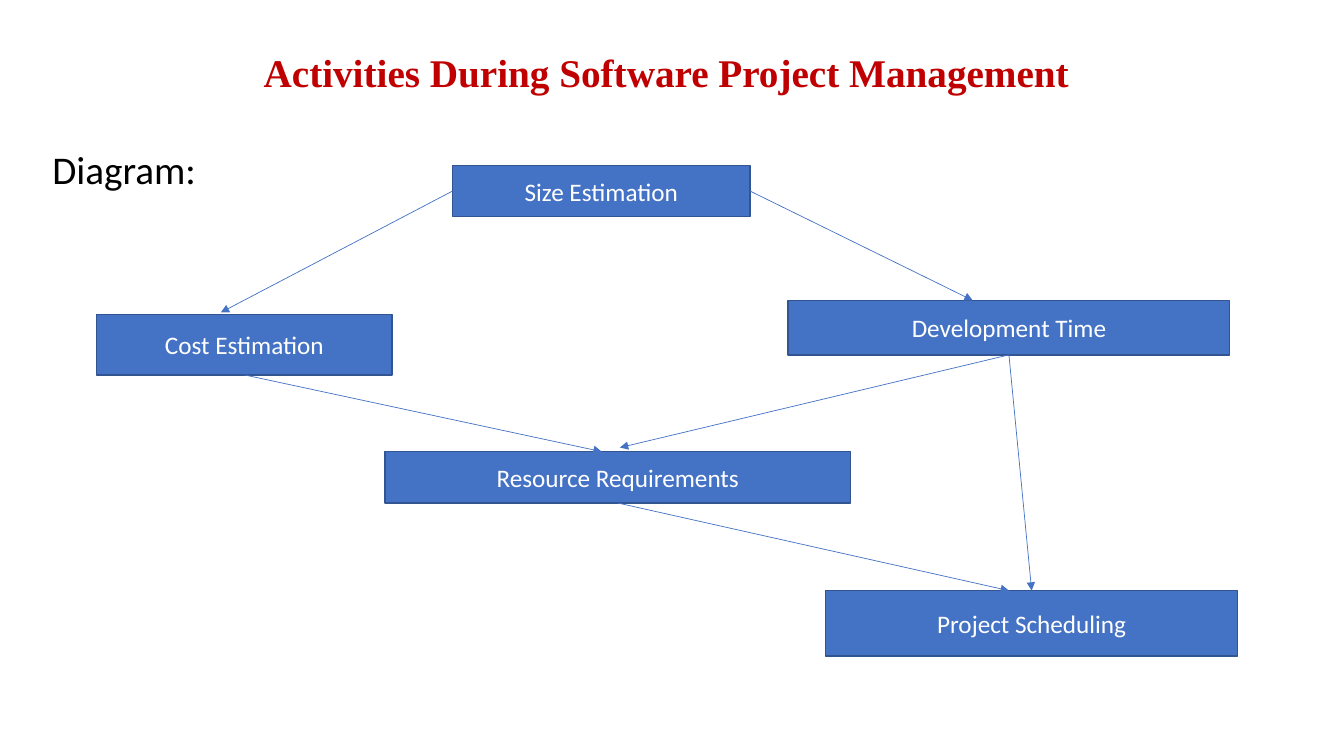
from dataclasses import dataclass
from typing import Any, Optional

from lxml import etree
from pptx import Presentation
from pptx import util as u
from pptx.dml.color import RGBColor
from pptx.enum import shapes, text
from pptx.oxml.ns import qn

COLOURS = {
    "title": "C00000",
    "body": "000000",
    "box": "4472C4",
    "border": "325491",
    "label": "FFFFFF",
}
TOP, LEFT, BOTTOM, RIGHT = range(4)


@dataclass(frozen=True)
class Activity:
    name: str
    left: float
    top: float
    width: float
    height: float


@dataclass(frozen=True)
class Arrow:
    source: str
    side: int
    tip: Optional[tuple[float, float]] = None
    target: Optional[str] = None


ACTIVITIES = [
    Activity("Size Estimation", 323.3, 118.1, 212.4, 36.7),
    Activity("Cost Estimation", 69.1, 224.6, 211, 43.2),
    Activity("Development Time", 563, 214.6, 315.4, 38.9),
    Activity("Resource Requirements", 275, 322.6, 332.6, 36.7),
    Activity("Project Scheduling", 589.7, 421.9, 294.5, 46.8),
]

ARROWS = [
    Arrow("Size Estimation", LEFT, tip=(157.7, 223.2)),
    Arrow("Size Estimation", RIGHT, tip=(694.8, 214.6)),
    Arrow("Cost Estimation", BOTTOM, tip=(429.8, 322.6)),
    Arrow("Development Time", BOTTOM, tip=(442.8, 319.7)),
    Arrow("Resource Requirements", BOTTOM, tip=(720.7, 421.9)),
    Arrow("Development Time", BOTTOM, target="Project Scheduling"),
]


def rgb(name: str) -> RGBColor:
    return RGBColor.from_string(COLOURS[name])


def apply(item: Any, values: dict[str, Any]) -> None:
    for name, value in values.items():
        setattr(item, name, value)


def place(shape: Any, left: float, top: float, width: float, height: float) -> None:
    apply(shape, {"left": u.Pt(left), "top": u.Pt(top),
                  "width": u.Pt(width), "height": u.Pt(height)})


def write(shape: Any, words: str, colour: str, frame: dict[str, Any],
          para: dict[str, Any], font: dict[str, Any]) -> Any:
    apply(shape.text_frame, {"word_wrap": True, "auto_size": text.MSO_AUTO_SIZE.NONE, **frame})
    line = shape.text_frame.paragraphs[0]
    apply(line, para)
    span = line.add_run()
    span.text = words
    apply(span.font, font)
    span.font.color.rgb = rgb(colour)
    return line


def draw_activity(page: Any, activity: Activity) -> Any:
    box = page.shapes.add_shape(
        shapes.MSO_SHAPE.RECTANGLE, u.Pt(activity.left), u.Pt(activity.top),
        u.Pt(activity.width), u.Pt(activity.height))
    box.shadow.inherit = False
    box.fill.solid()
    box.fill.fore_color.rgb = rgb("box")
    box.line.color.rgb = rgb("border")
    box.line.width = u.Pt(1)
    write(box, activity.name, "label",
          {"vertical_anchor": text.MSO_ANCHOR.MIDDLE},
          {"alignment": text.PP_ALIGN.CENTER},
          {"name": "Calibri", "size": u.Pt(18)})
    return box


def draw_arrow(page: Any, arrow: Arrow, boxes: dict[str, Any]) -> None:
    x, y = arrow.tip or (0, 0)
    link = page.shapes.add_connector(
        shapes.MSO_CONNECTOR.STRAIGHT, u.Pt(0), u.Pt(0), u.Pt(x), u.Pt(y))
    link.begin_connect(boxes[arrow.source], arrow.side)
    if arrow.target:
        link.end_connect(boxes[arrow.target], TOP)
    link.line.color.rgb = rgb("box")
    link.line.width = u.Pt(0.5)
    outline = link.line._get_or_add_ln()
    etree.SubElement(outline, qn("a:tailEnd"), type="triangle")
    etree.SubElement(link._element.spPr, qn("a:effectLst"))


def main() -> None:
    deck = Presentation()
    apply(deck, {"slide_width": u.Pt(960), "slide_height": u.Pt(540)})
    page = deck.slides.add_slide(deck.slide_layouts[1])

    # Title
    title = page.shapes.title
    place(title, 25.2, 28.8, 901.4, 49.7)
    write(title, "Activities During Software Project Management", "title",
          {"vertical_anchor": text.MSO_ANCHOR.MIDDLE},
          {"alignment": text.PP_ALIGN.CENTER, "line_spacing": 0.9},
          {"name": "Times New Roman", "size": u.Pt(28), "bold": True})

    # Body, without a bullet
    body = page.placeholders[1]
    place(body, 30.2, 103.7, 901.4, 407.5)
    para = write(body, "Diagram:", "body",
                 {"vertical_anchor": text.MSO_ANCHOR.TOP},
                 {"line_spacing": 0.9, "space_before": u.Pt(10)},
                 {"name": "Calibri", "size": u.Pt(28)})
    settings = para._p.get_or_add_pPr()
    settings.set("marL", "0")
    settings.set("indent", "0")
    etree.SubElement(settings, qn("a:buNone"))

    # Activity boxes and the arrows between them
    boxes = {activity.name: draw_activity(page, activity) for activity in ACTIVITIES}
    for arrow in ARROWS:
        draw_arrow(page, arrow, boxes)

    deck.save("out.pptx")


if __name__ == "__main__":
    main()
